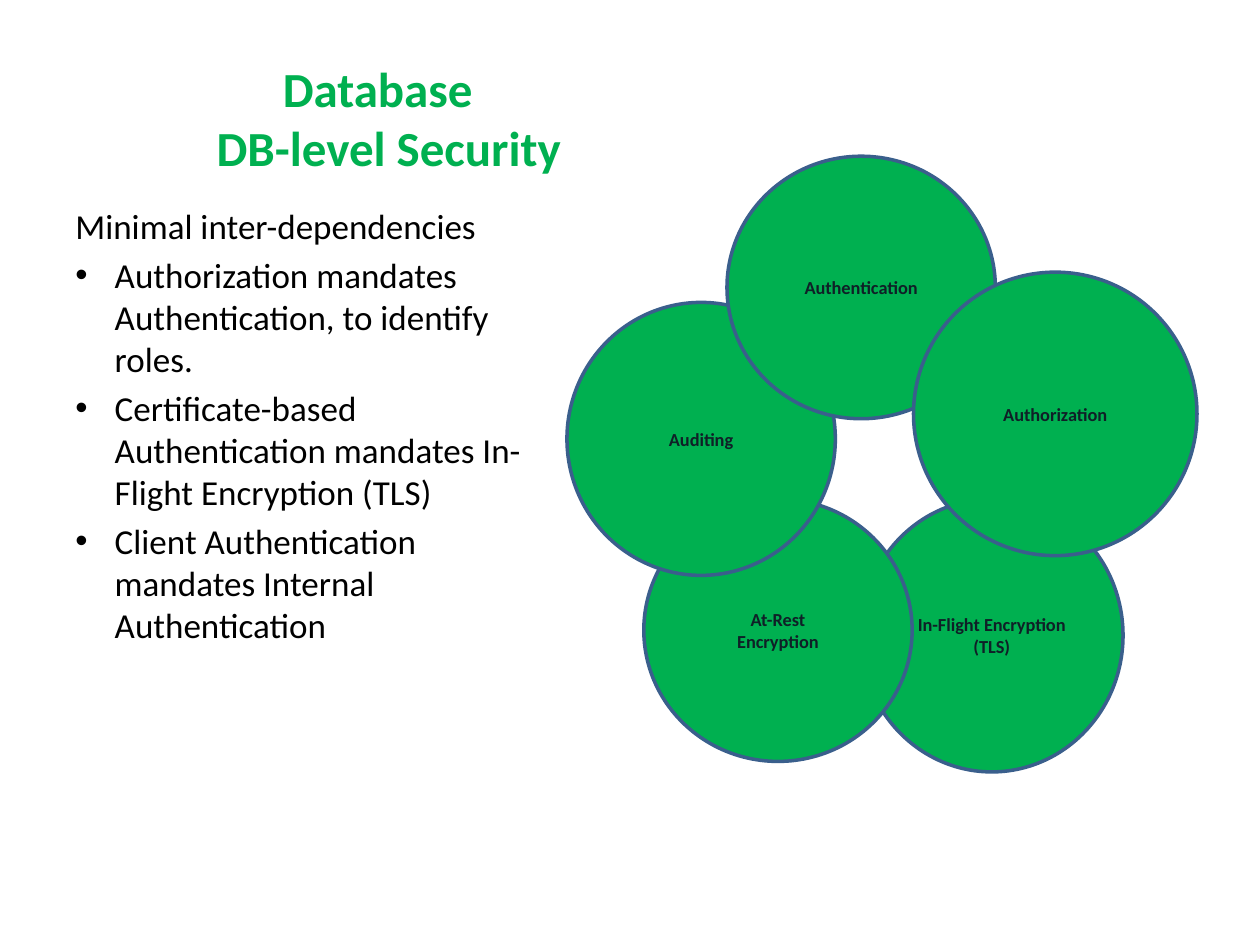
from typing import NamedTuple

from pptx import Presentation
from pptx.dml.color import RGBColor
from pptx.enum.shapes import MSO_SHAPE as Shape
from pptx.enum.text import MSO_ANCHOR as Anchor, PP_ALIGN as Align
from pptx.oxml.ns import qn
from pptx.util import Pt
from lxml.etree import SubElement

GREEN = RGBColor(0x00, 0xB0, 0x50)
OUTLINE = RGBColor(0x3A, 0x5F, 0x8C)
INK = RGBColor(0x0F, 0x20, 0x27)
BLACK = RGBColor(0x00, 0x00, 0x00)
FONT = "Calibri"
BULLET_INDENT = Pt(22.5)


class Box(NamedTuple):
    left: float
    top: float
    width: float
    height: float

    def lengths(self):
        return [Pt(value) for value in self]


class TitleLine(NamedTuple):
    text: str
    right_margin: float


class Control(NamedTuple):
    lines: tuple[str, ...]
    box: Box


TITLE_BOX = Box(36, 21.6, 372.24, 91.44)
BODY_BOX = Box(36, 113.04, 275.76, 369.36)
# The first line sits slightly left of the centre
TITLE_LINES = (TitleLine("Database", 12.6), TitleLine("DB-level Security", 0))
INTRO = "Minimal inter-dependencies"
DEPENDENCIES = (
    "Authorization mandates Authentication, to identify roles.",
    "Certificate-based Authentication mandates In-Flight Encryption (TLS)",
    "Client Authentication mandates Internal Authentication",
)
# Listed from back to front, so that later circles overlap earlier ones
CONTROLS = (
    Control(("In-Flight Encryption (TLS)",), Box(491.76, 285.12, 150, 156)),
    Control(("At-Rest", "Encryption"), Box(367.92, 285.12, 153.36, 150)),
    Control(("Auditing",), Box(324, 172.8, 153.36, 156)),
    Control(("Authentication",), Box(415.44, 89.28, 153.36, 150)),
    Control(("Authorization",), Box(522, 155.52, 162, 162)),
)


def style(paragraph, size: float, color: RGBColor, bold: bool = False) -> None:
    font = paragraph.font
    font.name, font.size, font.bold = FONT, Pt(size), bold
    font.color.rgb = color


def write_lines(frame, lines) -> list:
    """Write one paragraph per line and return the paragraphs."""
    frame.word_wrap = True
    frame.text = "\n".join(lines)
    return list(frame.paragraphs)


def add_bullet(paragraph) -> None:
    properties = paragraph._p.get_or_add_pPr()
    properties.set("marL", str(BULLET_INDENT))
    properties.set("indent", str(-BULLET_INDENT))
    SubElement(properties, qn("a:buFont")).set("typeface", "Arial")
    SubElement(properties, qn("a:buChar")).set("char", "•")


def draw_title(slide) -> None:
    frame = slide.shapes.add_textbox(*TITLE_BOX.lengths()).text_frame
    frame.vertical_anchor = Anchor.MIDDLE
    paragraphs = write_lines(frame, [line.text for line in TITLE_LINES])
    for paragraph, line in zip(paragraphs, TITLE_LINES):
        paragraph._p.get_or_add_pPr().set("marR", str(Pt(line.right_margin)))
        paragraph.alignment = Align.CENTER
        style(paragraph, 28, GREEN, bold=True)


def draw_dependencies(slide) -> None:
    frame = slide.shapes.add_textbox(*BODY_BOX.lengths()).text_frame
    intro, *dependencies = write_lines(frame, (INTRO, *DEPENDENCIES))
    style(intro, 20, BLACK)
    for dependency in dependencies:
        dependency.space_before = Pt(4)
        add_bullet(dependency)
        style(dependency, 20, BLACK)


def draw_control(slide, control: Control) -> None:
    circle = slide.shapes.add_shape(Shape.OVAL, *control.box.lengths())
    circle.shadow.inherit = False
    circle.fill.solid()
    circle.fill.fore_color.rgb = GREEN
    circle.line.color.rgb = OUTLINE
    circle.line.width = Pt(2)
    circle.text_frame.vertical_anchor = Anchor.MIDDLE
    for line in write_lines(circle.text_frame, control.lines):
        line.alignment = Align.CENTER
        style(line, 10.5, INK, bold=True)


def main() -> None:
    deck = Presentation()
    deck.slide_width, deck.slide_height = Pt(720), Pt(540)
    slide = deck.slides.add_slide(deck.slide_layouts[6])

    # Title and dependency list on the left
    draw_title(slide)
    draw_dependencies(slide)

    # Ring of security controls on the right
    for control in CONTROLS:
        draw_control(slide, control)

    deck.save("out.pptx")


if __name__ == "__main__":
    main()
